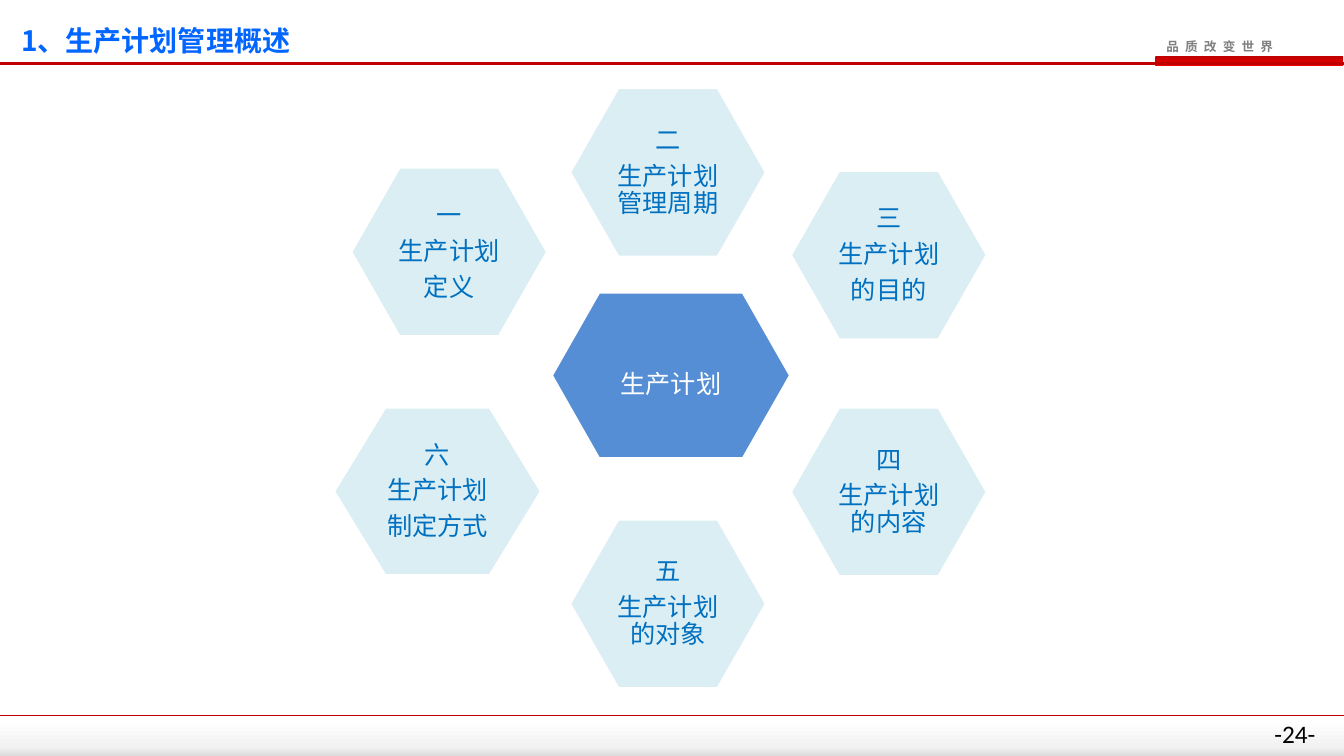
from pptx import Presentation
from pptx import util as u
from pptx.dml.color import RGBColor
from pptx.enum import shapes, text
from pptx.oxml.ns import qn
from lxml import etree

# Content
TITLE = "1、生产计划管理概述"
SLOGAN = "品 质 改 变 世 界"
PAGE_NUMBER = "-24-"
CJK = "Noto Sans CJK SC"
CENTRE = ("生产计划", 5.47, 2.9, 2.37, 1.65, 0.47)
# lines, left, top, width, height, corner inset
TOPICS = [
    (["二", "生产计划管理周期"], 5.65, 0.87, 1.95, 1.68, 0.48),
    (["三", "生产计划", "的目的"], 7.84, 1.69, 1.95, 1.68, 0.48),
    (["四", "生产计划的内容"], 7.84, 4.04, 1.95, 1.68, 0.48),
    (["五", "生产计划的对象"], 5.65, 5.15, 1.95, 1.68, 0.48),
    (["六", "生产计划", "制定方式"], 3.31, 4.04, 2.06, 1.67, 0.51),
    (["一", "生产计划", "定义"], 3.48, 1.66, 1.95, 1.68, 0.48),
]
RED_STOPS = [(0, "C00000"), (100, "EE0000")]
GREY_STOPS = [(0, "FFFFFF"), (75, "F2F2F2"), (100, "DCDCDC")]

deck = Presentation()
deck.slide_width, deck.slide_height = u.Inches(13.33), u.Inches(7.5)
page = deck.slides.add_slide(deck.slide_layouts[5])


def colour(value):
    return RGBColor.from_string(value)


def add_span(para, words, size, tint, font=CJK, bold=False):
    span = para.add_run()
    span.text = words
    span.font.size, span.font.name, span.font.bold = u.Pt(size), font, bold
    span.font.color.rgb = colour(tint)
    etree.SubElement(span.font._element, qn("a:ea"), typeface=font)
    return span


def add_bar(left, top, width, height, stops):
    bar = page.shapes.add_shape(shapes.MSO_SHAPE.RECTANGLE,
                                *map(u.Inches, (left, top, width, height)))
    bar.shadow.inherit = False
    bar.line.fill.background()
    bar.fill.gradient()
    bar.fill.gradient_angle = 270  # counter-clockwise, so top to bottom
    stop_list = bar._element.spPr.find(".//" + qn("a:gsLst"))
    for old in list(stop_list):
        stop_list.remove(old)
    for percent, tint in stops:
        stop = etree.SubElement(stop_list, qn("a:gs"), pos=str(percent * 1000))
        etree.SubElement(stop, qn("a:srgbClr"), val=tint)


def add_rule(y, weight):
    rule = page.shapes.add_connector(shapes.MSO_CONNECTOR.STRAIGHT, 0, u.Inches(y),
                                     deck.slide_width, u.Inches(y))
    rule.line.color.rgb = colour("C00000")
    rule.line.width = u.Pt(weight)
    etree.SubElement(rule._element.spPr, qn("a:effectLst"))


def add_label(left, top, width, height, wrap):
    box = page.shapes.add_textbox(*map(u.Inches, (left, top, width, height)))
    box.text_frame.word_wrap = wrap
    return box.text_frame.paragraphs[0]


def add_hexagon(lines, left, top, width, height, inset, fill, tint, margins, spacing):
    right, bottom, middle = left + width, top + height, top + height / 2
    corners = [(left + inset, top), (right - inset, top), (right, middle),
               (right - inset, bottom), (left + inset, bottom)]
    builder = page.shapes.build_freeform(u.Inches(left), u.Inches(middle))
    builder.add_line_segments([(u.Inches(x), u.Inches(y)) for x, y in corners], close=True)
    hexagon = builder.convert_to_shape()
    hexagon.shadow.inherit = False
    hexagon.fill.solid()
    hexagon.fill.fore_color.rgb = colour(fill)
    hexagon.line.color.rgb = colour("FFFFFF")
    hexagon.line.width = u.Pt(2)
    frame = hexagon.text_frame
    frame.word_wrap = True
    frame.vertical_anchor = text.MSO_ANCHOR.MIDDLE
    frame.margin_left = frame.margin_right = u.Inches(margins[0])
    frame.margin_top = frame.margin_bottom = u.Inches(margins[1])
    for index, words in enumerate(lines):
        para = frame.add_paragraph() if index else frame.paragraphs[0]
        para.alignment = text.PP_ALIGN.CENTER
        para.line_spacing = spacing
        para.space_after = u.Pt(6.3)
        add_span(para, words, 18, tint)


# Header and footer
add_bar(11.46, 0.56, 1.86, 0.09, RED_STOPS)
slogan = add_span(add_label(11.47, 0.34, 1.36, 0.25, False), SLOGAN, 9, "808080", bold=True)
slogan.font._element.set("spc", "120")
add_rule(0.63, 1.5)
add_bar(0, 7.14, 13.33, 0.36, GREY_STOPS)
add_rule(7.1, 1)
add_span(add_label(12.54, 7.08, 0.79, 0.4, True), PAGE_NUMBER, 18, "000000", "Calibri")

# Title
title = page.shapes.title
title.left, title.top, title.width, title.height = map(u.Inches, (0.11, 0.16, 9.48, 0.47))
title.text_frame.auto_size = text.MSO_AUTO_SIZE.NONE
title.text_frame.vertical_anchor = text.MSO_ANCHOR.MIDDLE
heading = title.text_frame.paragraphs[0]
heading.alignment = text.PP_ALIGN.LEFT
heading.line_spacing = u.Pt(25)
add_span(heading, TITLE, 20, "0066FF", bold=True)

# Central hexagon and the six topics around it
add_hexagon([CENTRE[0]], *CENTRE[1:], "558ED5", "FFFFFF", (0.52, 0.37), 1.5)
for topic in TOPICS:
    add_hexagon(*topic, "DBEEF4", "0070C0", (0.37, 0.32), u.Pt(19.2))

deck.save("out.pptx")
